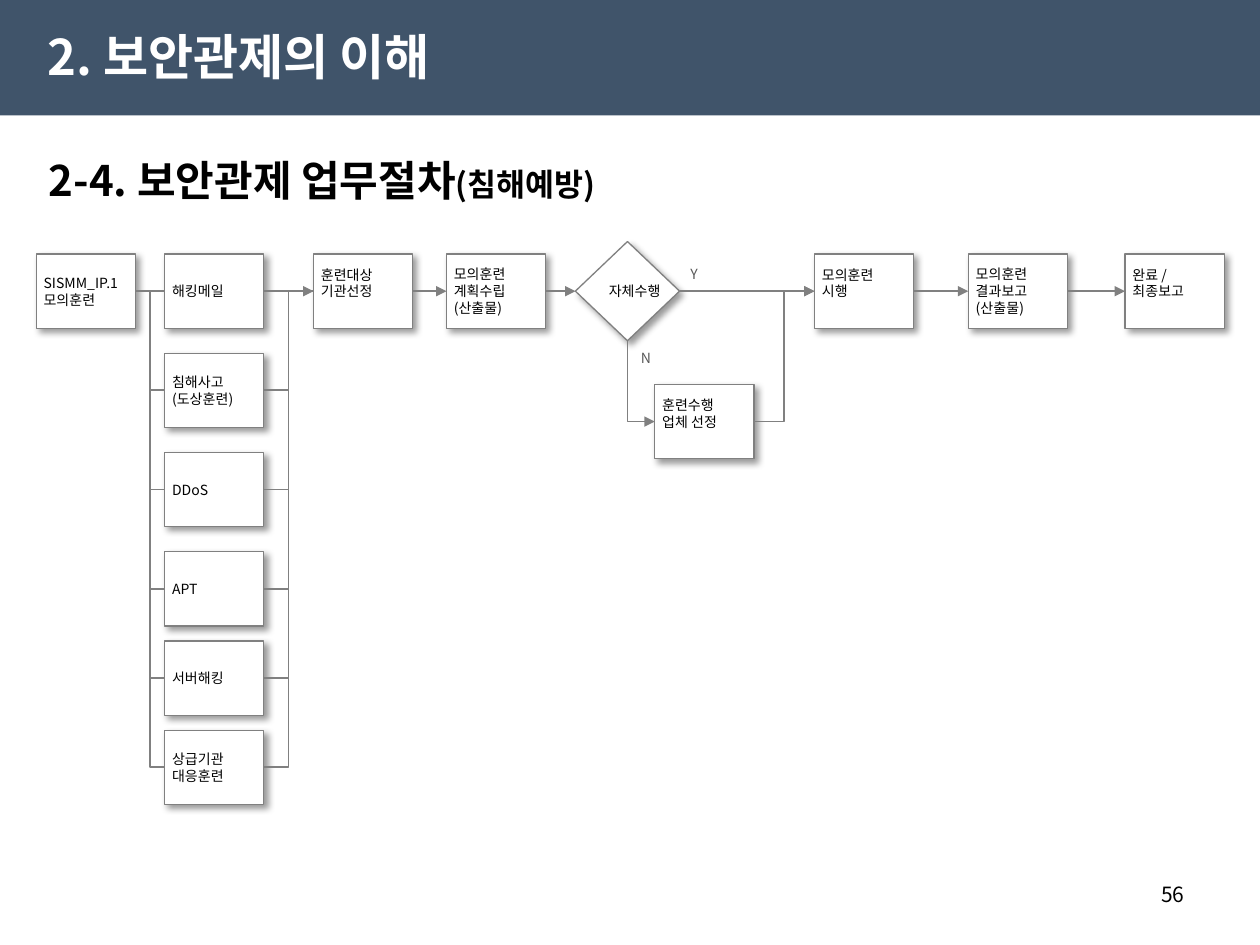
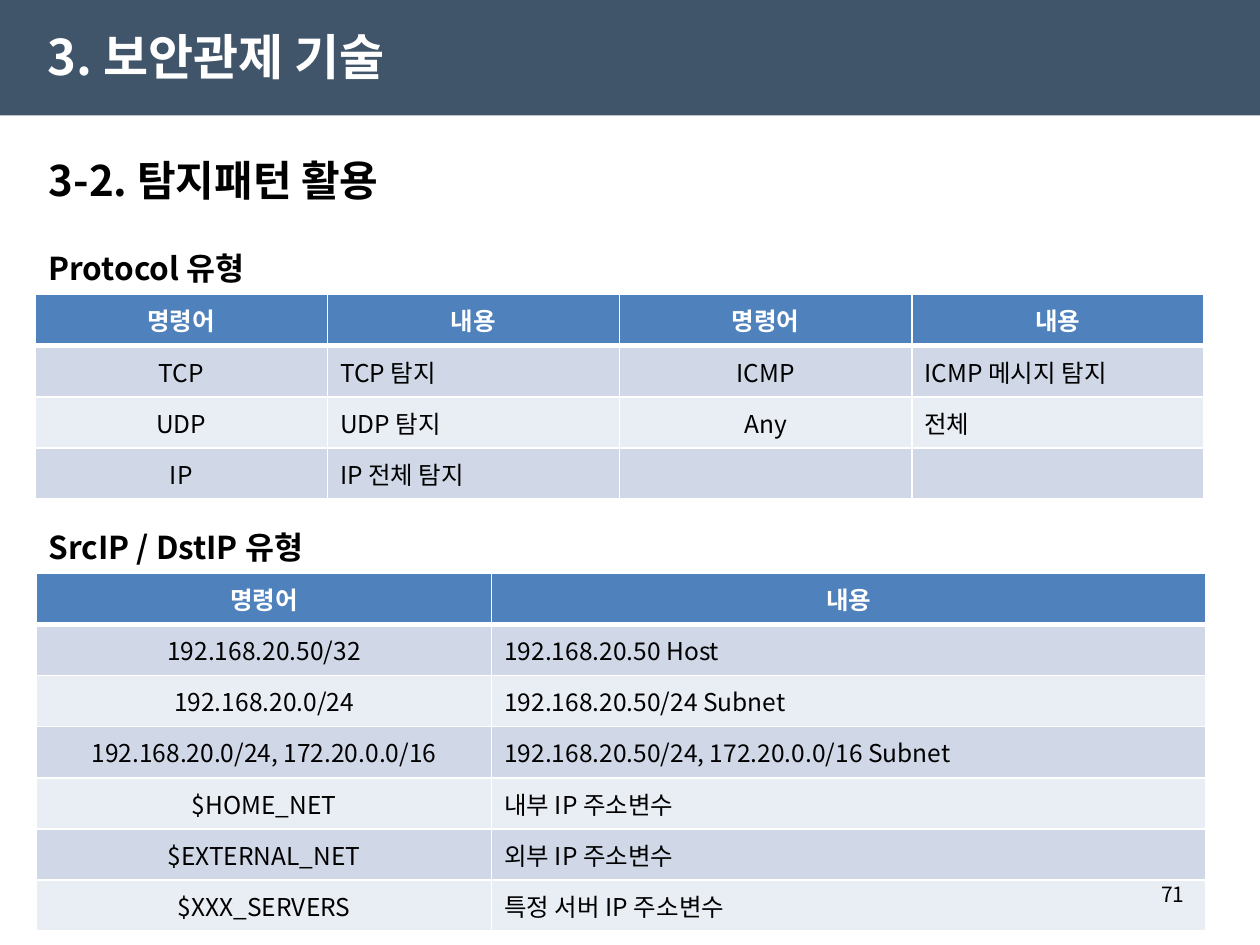
from lxml.etree import SubElement
from pptx import Presentation
from pptx.dml.color import RGBColor
from pptx.enum.shapes import MSO_CONNECTOR, MSO_SHAPE
from pptx.enum.text import MSO_ANCHOR, MSO_AUTO_SIZE, PP_ALIGN
from pptx.oxml import parse_xml
from pptx.oxml.ns import nsdecls, qn
from pptx.util import Cm, Pt

FONT = "Noto Sans CJK KR"
WHITE, BLACK, GREY, LABEL = "FFFFFF", "000000", "808080", "595959"
BAND, HEADER, DARK_ROW, LIGHT_ROW = "40546A", "4F81BD", "D0D8E8", "E9EDF4"
TOP, LEFT, BOTTOM, RIGHT = range(4)  # connection sites


def write(frame, lines, size, color=BLACK, bold=False, **paragraph_format):
    """Fill a text frame; each line is a list of (text, size) runs or a string."""
    for index, line in enumerate(lines):
        paragraph = frame.paragraphs[0] if index == 0 else frame.add_paragraph()
        for name, value in {"alignment": PP_ALIGN.LEFT, **paragraph_format}.items():
            setattr(paragraph, name, value)
        for text, run_size in [(line, size)] if isinstance(line, str) else line:
            run = paragraph.add_run()
            run.text = text
            for name, value in {"name": FONT, "size": Pt(run_size), "bold": bold}.items():
                setattr(run.font, name, value)
            run.font.color.rgb = RGBColor.from_string(color)
            SubElement(run.font._element, qn("a:ea"), typeface=FONT)


def connect(slide, target, target_site, source, source_site, arrow=False, preset=None):
    """Join two shapes, with the arrowhead at the target."""
    straight = abs(target.top + target.height // 2 - source.top - source.height // 2) < Cm(0.1)
    kind = MSO_CONNECTOR.STRAIGHT if straight else MSO_CONNECTOR.ELBOW
    connector = slide.shapes.add_connector(kind, 0, 0, 0, 0)
    connector.begin_connect(target, target_site)
    connector.end_connect(source, source_site)
    connector.line.color.rgb = RGBColor.from_string(GREY)
    connector.line.width = Pt(1)
    properties = connector._element.spPr
    if arrow:
        SubElement(properties.find(qn("a:ln")), qn("a:headEnd"), type="triangle")
    if preset:
        properties.find(qn("a:prstGeom")).set("prst", preset)
    SubElement(properties, qn("a:effectLst"))


presentation = Presentation()
presentation.slide_width, presentation.slide_height = Cm(25.4), Cm(19.05)
layout = presentation.slide_layouts[1]

# Title and section heading of both slides
pages = [
    ("2. 보안관제의 이해", [("2-4. 보안관제 업무절차", 24), ("(침해예방)", 18)]),
    ("3. 보안관제 기술", [("3-2. 탐지패턴 활용", 24)]),
]
for title, heading in pages:
    slide = presentation.slides.add_slide(layout)
    placeholders = [
        (slide.shapes.title, (0.71, 0.33, 12, 1.6), title, 28, WHITE),
        (slide.placeholders[1], (0.73, 2.92, 23.95, 1.4), heading, 24, BLACK),
    ]
    for shape, place, line, size, color in placeholders:
        shape.left, shape.top, shape.width, shape.height = map(Cm, place)
        frame = shape.text_frame
        frame.auto_size = MSO_AUTO_SIZE.NONE
        frame.vertical_anchor = MSO_ANCHOR.MIDDLE
        paragraph_properties = frame.paragraphs[0]._p.get_or_add_pPr()
        paragraph_properties.set("marL", "0")
        paragraph_properties.set("indent", "0")
        SubElement(paragraph_properties, qn("a:buNone"))
        write(frame, [line], size, color, True, space_before=Pt(0))

process_slide, pattern_slide = presentation.slides

# The title band belongs to the layout
band = process_slide.shapes.add_shape(MSO_SHAPE.RECTANGLE, 0, 0, Cm(25.4), Cm(2.33))
band.shadow.inherit = False
band.fill.solid()
band.fill.fore_color.rgb = RGBColor.from_string(BAND)
band.line.fill.background()
layout.shapes._spTree.insert(2, band._element)

# Process steps: name, left, top, lines, lines left free below
ROW_TOP = 5.12
steps = [
    ("start", 0.73, ROW_TOP, ["SISMM_IP.1", "모의훈련"], 0),
    ("target", 6.32, ROW_TOP, ["훈련대상", "기관선정"], 1),
    ("plan", 9, ROW_TOP, ["모의훈련", "계획수립", "(산출물)"], 0),
    ("decision", 11.6, 4.87, ["자체수행"], 0),
    ("vendor", 13.2, 7.75, ["훈련수행", "업체 선정"], 1),
    ("run", 16.42, ROW_TOP, ["모의훈련", "시행"], 1),
    ("report", 19.52, ROW_TOP, ["모의훈련", "결과보고", "(산출물)"], 0),
    ("finish", 22.68, ROW_TOP, ["완료 /", "최종보고"], 1),
]
drills = [["해킹메일"], ["침해사고", "(도상훈련)"], ["DDoS"], ["APT"], ["서버해킹"], ["상급기관", "대응훈련"]]
for index, lines in enumerate(drills):
    top = ROW_TOP + 2 * min(index, 3) + 1.8 * max(index - 3, 0)
    steps.append((f"drill {index}", 3.32, top, lines, 0))

boxes = {}
for name, left, top, lines, free_lines in steps:
    is_decision = name == "decision"
    kind = MSO_SHAPE.FLOWCHART_DECISION if is_decision else MSO_SHAPE.RECTANGLE
    width, height = (2.1, 2) if is_decision else (2, 1.5)
    box = process_slide.shapes.add_shape(kind, Cm(left), Cm(top), Cm(width), Cm(height))
    box.fill.solid()
    box.fill.fore_color.rgb = RGBColor.from_string(WHITE)
    box.line.color.rgb = RGBColor.from_string(GREY)
    box.line.width = Pt(0.75)
    box._element.spPr.append(parse_xml(
        f'<a:effectLst {nsdecls("a")}><a:outerShdw blurRad="50800" dist="38100" dir="2700000" '
        f'algn="tl" rotWithShape="0"><a:srgbClr val="{BLACK}"><a:alpha val="40000"/></a:srgbClr>'
        '</a:outerShdw></a:effectLst>'))
    frame_format = {
        "margin_left": Cm(0.15), "margin_right": Cm(0.15), "margin_top": Cm(0.08),
        "margin_bottom": Cm(0.08 + 0.33 * free_lines),
        "word_wrap": False, "vertical_anchor": MSO_ANCHOR.MIDDLE,
    }
    for attribute, value in frame_format.items():
        setattr(box.text_frame, attribute, value)
    write(box.text_frame, lines, 8)
    boxes[name] = box

# Connectors
for index in range(len(drills)):
    drill = boxes[f"drill {index}"]
    connect(process_slide, drill, LEFT, boxes["start"], RIGHT)
    connect(process_slide, boxes["target"], LEFT, drill, RIGHT, arrow=index == 0)
flow = ["target", "plan", "decision", "run", "report", "finish"]
for source, target in zip(flow, flow[1:]):
    connect(process_slide, boxes[target], LEFT, boxes[source], RIGHT, arrow=True)
connect(process_slide, boxes["vendor"], LEFT, boxes["decision"], BOTTOM, True, "bentConnector2")
connect(process_slide, boxes["run"], LEFT, boxes["vendor"], RIGHT, arrow=True)

# Decision labels
for answer, left, top in [("Y", 13.67, 5.23), ("N", 12.67, 6.93)]:
    label = process_slide.shapes.add_textbox(Cm(left), Cm(top), Cm(0.7), Cm(0.6))
    label.text_frame.word_wrap = False
    write(label.text_frame, [answer], 8, LABEL)

# Pattern tables: heading, heading top, left, table top, column widths, rows
tables = [
    ("Protocol 유형", 4.52, 0.71, 5.94, [5.89] * 4, [
        ["명령어", "내용", "명령어", "내용"],
        ["TCP", "TCP 탐지", "ICMP", "ICMP 메시지 탐지"],
        ["UDP", "UDP 탐지", "Any", "전체"],
        ["IP", "IP 전체 탐지", "", ""],
    ]),
    ("SrcIP / DstIP 유형", 10.13, 0.74, 11.56, [9.17, 14.4], [
        ["명령어", "내용"],
        ["192.168.20.50/32", "192.168.20.50 Host"],
        ["192.168.20.0/24", "192.168.20.50/24 Subnet"],
        ["192.168.20.0/24, 172.20.0.0/16", "192.168.20.50/24, 172.20.0.0/16 Subnet"],
        ["$HOME_NET", "내부 IP 주소변수"],
        ["$EXTERNAL_NET", "외부 IP 주소변수"],
        ["$XXX_SERVERS", "특정 서버 IP 주소변수"],
    ]),
]
ROW_HEIGHT = 1.03
for heading, heading_top, left, top, widths, rows in tables:
    caption = pattern_slide.shapes.add_textbox(Cm(0.73), Cm(heading_top), Cm(23.95), Cm(1.27))
    caption.text_frame.word_wrap = True
    write(caption.text_frame, [heading], 18, bold=True, line_spacing=1.5)

    table = pattern_slide.shapes.add_table(
        len(rows), len(widths), Cm(left), Cm(top), Cm(sum(widths)), Cm(ROW_HEIGHT * len(rows))).table
    for column, width in zip(table.columns, widths):
        column.width = Cm(width)
    for row_index, row in enumerate(rows):
        table.rows[row_index].height = Cm(ROW_HEIGHT)
        is_header = row_index == 0
        fill = HEADER if is_header else DARK_ROW if row_index % 2 else LIGHT_ROW
        for column_index, text in enumerate(row):
            cell = table.cell(row_index, column_index)
            cell.vertical_anchor = MSO_ANCHOR.MIDDLE
            cell.fill.solid()
            cell.fill.fore_color.rgb = RGBColor.from_string(fill)
            for position, side in enumerate(["lnL", "lnR", "lnT", "lnB"]):
                points = 3 if (row_index, side) in [(0, "lnB"), (1, "lnT")] else 1
                cell._tc.tcPr.insert(position, parse_xml(
                    f'<a:{side} {nsdecls("a")} w="{Pt(points)}"><a:solidFill>'
                    f'<a:srgbClr val="{WHITE}"/></a:solidFill></a:{side}>'))
            if text:
                centred = is_header or column_index % 2 == 0
                write(cell.text_frame, [text], 14, WHITE if is_header else BLACK, is_header,
                      alignment=PP_ALIGN.CENTER if centred else PP_ALIGN.LEFT)

# Page numbers, in front of everything else
for slide, number in [(process_slide, "56"), (pattern_slide, "71")]:
    page_number = slide.shapes.add_textbox(Cm(18.21), Cm(17.65), Cm(5.92), Cm(1.02))
    page_number.text_frame.word_wrap = True
    write(page_number.text_frame, [number], 12, alignment=PP_ALIGN.RIGHT)

presentation.save("out.pptx")
